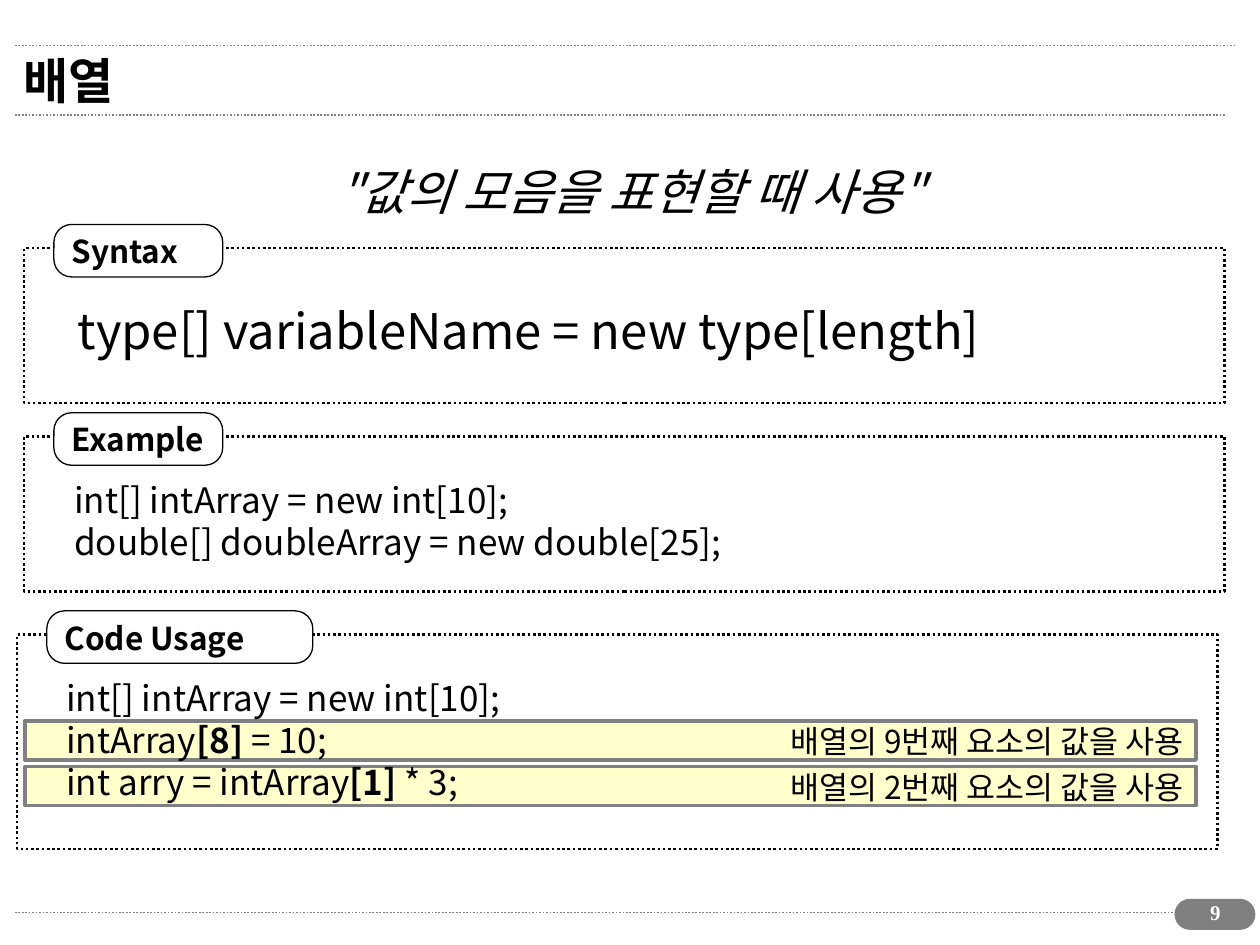
from lxml import etree
from pptx import Presentation
from pptx.dml.color import RGBColor
from pptx.enum.dml import MSO_LINE_DASH_STYLE as Dash
from pptx.enum.shapes import MSO_CONNECTOR as Connector, MSO_SHAPE as Shape
from pptx.enum.text import MSO_ANCHOR as Anchor, MSO_AUTO_SIZE as AutoSize, PP_ALIGN as Align
from pptx.oxml.ns import qn
from pptx.util import Pt

COLORS = {"ink": "000000", "gray": "808080", "paper": "FFFFFF", "highlight": "FFFFCC"}
SANS, SERIF = "Noto Sans CJK KR", "Times New Roman"

presentation = Presentation()
presentation.slide_width, presentation.slide_height = Pt(720), Pt(540)
slide = presentation.slides.add_slide(presentation.slide_layouts[5])
shapes = slide.shapes


def write(shape, lines, size=18, color="ink", font=SANS, align=Align.LEFT,
          bold=False, italic=False, anchor=Anchor.MIDDLE, wrap=False):
    """Fill a shape with lines; each line is a string or a list of runs, odd runs bold."""
    frame = shape.text_frame
    frame.auto_size = AutoSize.NONE
    frame.word_wrap = wrap
    frame.vertical_anchor = anchor
    for index, line in enumerate(lines):
        paragraph = frame.add_paragraph() if index else frame.paragraphs[0]
        paragraph.alignment = align
        paragraph.line_spacing = Pt(round(size * 1.2))
        for position, text in enumerate([line] if isinstance(line, str) else line):
            run = paragraph.add_run()
            run.text = text
            run.font.size = Pt(size)
            run.font.name = font
            run.font.bold = bold or position % 2 == 1
            run.font.italic = italic
            run.font.color.rgb = RGBColor.from_string(COLORS[color])
            east_asian = etree.SubElement(run.font._element, qn("a:ea"))
            east_asian.set("typeface", font)


def add_box(kind, left, top, width, height, fill=None, line="ink", weight=0.75, radius=None):
    box = shapes.add_shape(kind, Pt(left), Pt(top), Pt(width), Pt(height))
    box.shadow.inherit = False
    if fill:
        box.fill.solid()
        box.fill.fore_color.rgb = RGBColor.from_string(COLORS[fill])
    else:
        box.fill.background()
    box.line.color.rgb = RGBColor.from_string(COLORS[line])
    box.line.width = Pt(weight)
    if radius is not None:
        box.adjustments[0] = radius
    return box


# Dotted rules around the title and above the footer
for y, right in [(521.5, 700.5), (65.8, 700), (26, 705.5)]:
    rule = shapes.add_connector(Connector.STRAIGHT, Pt(8.5), Pt(y), Pt(right), Pt(y))
    rule.line.color.rgb = RGBColor.from_string(COLORS["gray"])
    rule.line.width = Pt(1)
    rule.line.dash_style = Dash.ROUND_DOT
    etree.SubElement(rule._element.spPr, qn("a:effectLst"))

# Page number
add_box(Shape.ROUNDED_RECTANGLE, 671.5, 514, 45.5, 17, fill="gray", line="gray", radius=0.5)
page_number = shapes.add_textbox(Pt(674.5), Pt(511), Pt(40), Pt(24.5))
write(page_number, ["9"], size=12, color="paper", font=SERIF, align=Align.CENTER,
      bold=True, anchor=Anchor.TOP, wrap=True)

# Title
title = shapes.title
title.left, title.top, title.width, title.height = Pt(6), Pt(20), Pt(655), Pt(51)
write(title, ["배열"], size=28, bold=True, wrap=True)

# Statement
statement = shapes.add_textbox(Pt(14.5), Pt(88.5), Pt(692), Pt(41))
write(statement, ['"값의 모음을 표현할 때 사용"'], size=28, italic=True,
      align=Align.CENTER, anchor=Anchor.TOP, wrap=True)

# Highlighted code lines with their remarks
for top, remark in [(438, "배열의 2번째 요소의 값을 사용"), (412, "배열의 9번째 요소의 값을 사용")]:
    bar = add_box(Shape.RECTANGLE, 14.4, top, 669, 22.3,
                  fill="highlight", line="gray", weight=2.25)
    write(bar, [remark], align=Align.RIGHT)

# Panels: label, left, top, height, tab width, code offset (x, y), code size, code lines
DECLARATION = "int[] intArray = new int[10];"
panels = [
    ("Syntax", 13.8, 141.8, 88.5, 96.5, (23.5, 26), 28,
     ["type[] variableName = new type[length]"]),
    ("Example", 13.8, 249.4, 88.5, 96.5, (21.5, 20.5), 20,
     [DECLARATION, "double[] doubleArray = new double[25];"]),
    ("Code Usage", 9.8, 362.6, 122.5, 152, (21, 20.5), 20,
     [DECLARATION, ["intArray", "[8]", " = 10;"], ["int arry = intArray", "[1]", " * 3;"]]),
]
for label, left, top, height, tab_width, (dx, dy), size, code in panels:
    panel = add_box(Shape.RECTANGLE, left, top, 686, height, weight=1.5)
    panel.line.dash_style = Dash.ROUND_DOT
    tab = add_box(Shape.ROUNDED_RECTANGLE, left + 17, top - 13.5, tab_width, 30,
                  fill="paper", radius=0.34)
    write(tab, [label], bold=True)
    code_box = shapes.add_textbox(Pt(left + dx), Pt(top + dy), Pt(540),
                                  Pt(round(size * 1.2) * len(code) + 7.2))
    write(code_box, code, size=size, anchor=Anchor.TOP)

presentation.save("out.pptx")
